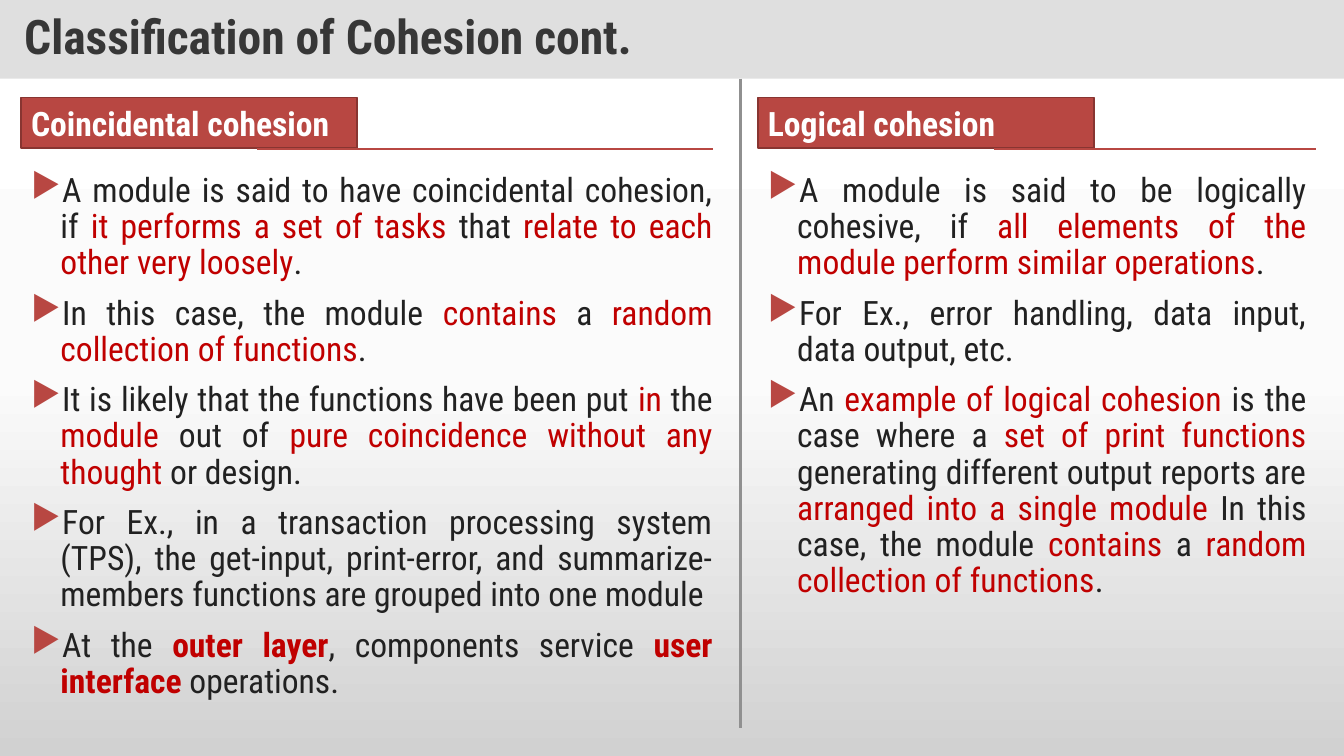
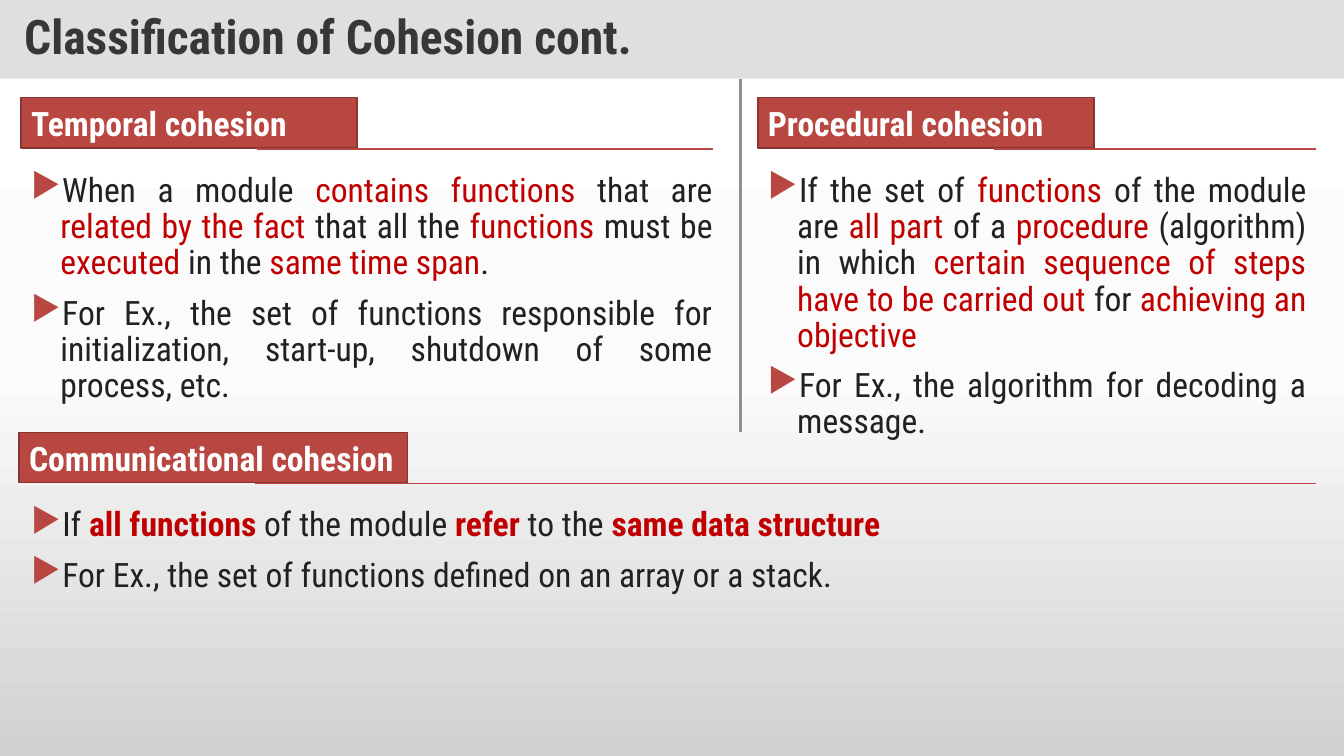
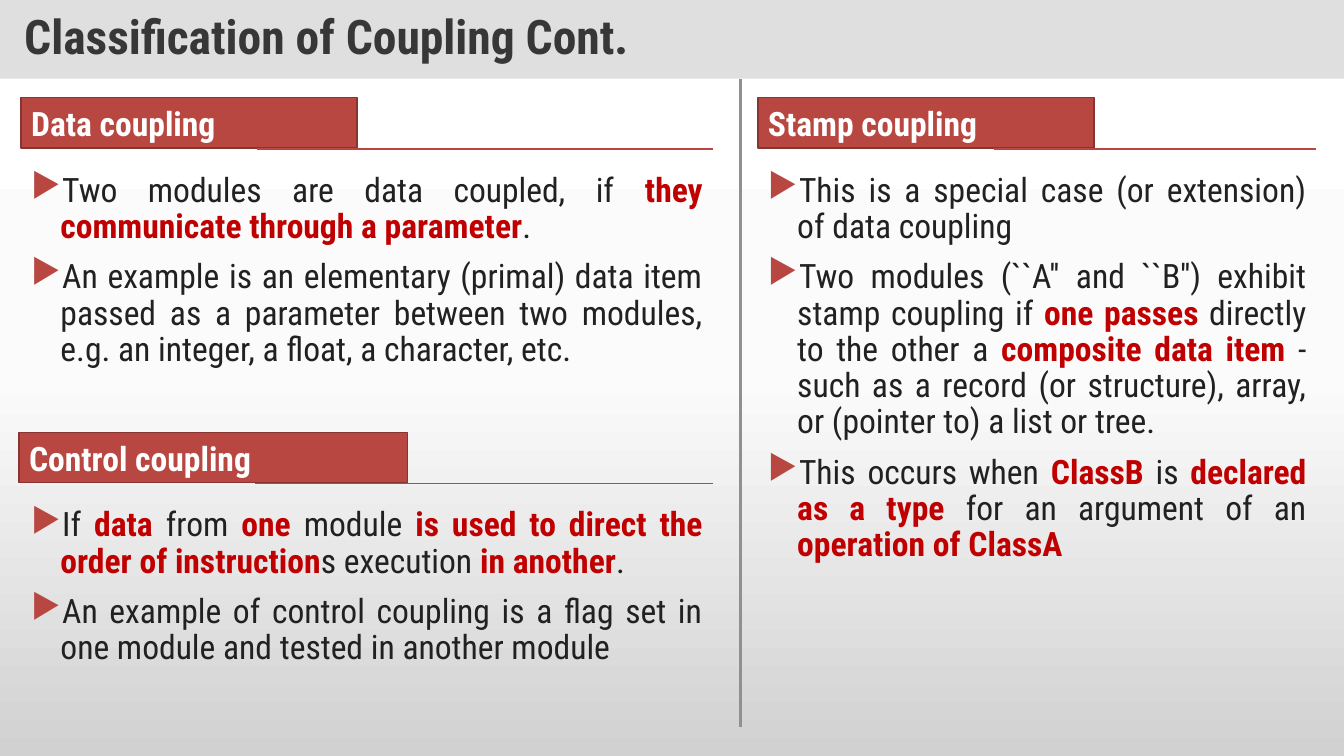
"""Build three slides on the classification of cohesion and coupling."""
from copy import deepcopy

from lxml import etree
from pptx import Presentation
from pptx.dml.color import RGBColor
from pptx.enum import shapes, text
from pptx.oxml import ns
from pptx.util import Pt

FONT = "Roboto Condensed"
COLORS = {
    "title": "373737", "band": "C0C0C0", "tag": "B84742", "tag_edge": "883531",
    "tag_text": "FFFFFF", "body": "212121", "key": "C00000", "divider": "909090",
}
BACKDROP = [(0, "FFFFFF"), (0.5, "FBFBFB"), (1, "D1D1D1")]
WIDTH, HEIGHT, BAND_HEIGHT = 960, 540, 56.2
LEFT, RIGHT, DIVIDER_X = 15.1, 541.4, 529.2
COLUMN_END, PAGE_END = 509, 940.3
UPPER, LOWER = 69.8, 308.9
WIDE_TAG_LEFT, WIDE_TAG_WIDTH = 13.7, 277.2
TAG_WIDTH, TAG_HEIGHT = 240, 36
RULE_INDENT, RULE_DROP, BODY_DROP = 168.5, 36.5, 50.4
BULLET_INDENT = 21


def color(name):
    """Return a named colour."""
    return RGBColor.from_string(COLORS[name])


def sub(parent, tag, **attributes):
    """Append a drawing element and return it."""
    return etree.SubElement(parent, ns.qn(tag), attributes)


def style(paragraph, size, color_name, bold=False):
    """Set the font of a whole paragraph."""
    font = paragraph.font
    font.name, font.size, font.bold = FONT, Pt(size), bold
    font.color.rgb = color(color_name)


def paint_backdrop(master):
    """Give the master a vertical three-stop gradient."""
    fill = master.background.fill
    fill.gradient()
    fill.gradient_angle = 270
    stop_list = master.background._cSld.find(".//" + ns.qn("a:gsLst"))
    stop_list.insert(1, deepcopy(stop_list[0]))
    for stop, (position, shade) in zip(fill.gradient_stops, BACKDROP):
        stop.position = position
        stop.color.rgb = RGBColor.from_string(shade)


def add_titled_slide(prs, heading):
    """Add a slide with its heading on a translucent band."""
    slide = prs.slides.add_slide(prs.slide_layouts[5])
    title = slide.shapes.title
    title.left, title.top = Pt(0), Pt(0)
    title.width, title.height = Pt(WIDTH), Pt(BAND_HEIGHT)
    title.fill.solid()
    title.fill.fore_color.rgb = color("band")
    shade = title._element.spPr.find(".//" + ns.qn("a:srgbClr"))
    sub(shade, "a:alpha", val="50000")
    frame = title.text_frame
    frame.auto_size = text.MSO_AUTO_SIZE.NONE
    frame.vertical_anchor = text.MSO_ANCHOR.MIDDLE
    frame.margin_left = frame.margin_right = Pt(17.3)
    frame.margin_top = frame.margin_bottom = Pt(8.6)
    frame.text = heading
    line = frame.paragraphs[0]
    line.alignment = text.PP_ALIGN.LEFT
    line.line_spacing = 0.9
    style(line, 34, "title", True)
    return slide


def add_line(slide, start, end, color_name, weight):
    """Draw a straight line between two points."""
    line = slide.shapes.add_connector(
        shapes.MSO_CONNECTOR.STRAIGHT, *map(Pt, start + end))
    line.line.color.rgb = color(color_name)
    line.line.width = Pt(weight)
    sub(line._element.spPr, "a:effectLst")


def add_divider(slide, bottom):
    """Separate the two columns below the title band."""
    add_line(slide, (DIVIDER_X, BAND_HEIGHT), (DIVIDER_X, bottom), "divider", 2.25)


def add_tag(slide, label, left, top, width):
    """Add a filled section label."""
    tag = slide.shapes.add_shape(
        shapes.MSO_SHAPE.RECTANGLE, Pt(left), Pt(top), Pt(width), Pt(TAG_HEIGHT))
    tag.shadow.inherit = False
    tag.fill.solid()
    tag.fill.fore_color.rgb = color("tag")
    tag.line.color.rgb = color("tag_edge")
    tag.line.width = Pt(1)
    tag.text_frame.text = label
    line = tag.text_frame.paragraphs[0]
    line.alignment = text.PP_ALIGN.LEFT
    style(line, 24, "tag_text", True)


def add_runs(paragraph, marked):
    """Add runs, with |red| and *bold red* key words."""
    for i, strong in enumerate(marked.split("*")):
        for j, part in enumerate(strong.split("|")):
            if not part:
                continue
            run = paragraph.add_run()
            run.text = part
            if i % 2 or j % 2:
                run.font.color.rgb = color("key")
            if i % 2:
                run.font.bold = True


def add_bullets(slide, points, left, top, width, height):
    """Add a justified list with triangle bullets."""
    box = slide.shapes.add_textbox(Pt(left), Pt(top), Pt(width), Pt(height))
    frame = box.text_frame
    frame.word_wrap = True
    for number, point in enumerate(points):
        paragraph = frame.add_paragraph() if number else frame.paragraphs[0]
        properties = paragraph._p.get_or_add_pPr()
        properties.set("marL", str(Pt(BULLET_INDENT)))
        properties.set("indent", str(-Pt(BULLET_INDENT)))
        sub(sub(properties, "a:buClr"), "a:srgbClr", val=COLORS["tag"])
        sub(properties, "a:buChar", char="▶")
        paragraph.alignment = text.PP_ALIGN.JUSTIFY
        paragraph.line_spacing = 0.9
        if number:
            paragraph.space_before = Pt(10)
        style(paragraph, 24, "body")
        add_runs(paragraph, point)


def add_section(slide, label, points, left, top, rule_end, body_width, body_height):
    """Add a label, its rule and its bullets."""
    lower = top == LOWER
    tag_left = WIDE_TAG_LEFT if lower else left
    add_tag(slide, label, tag_left, top, WIDE_TAG_WIDTH if lower else TAG_WIDTH)
    rule_y = top + RULE_DROP
    add_line(slide, (tag_left + RULE_INDENT, rule_y), (rule_end, rule_y), "tag", 1)
    add_bullets(slide, points, left, top + BODY_DROP, body_width, body_height)


def add_left(slide, label, points, body_width, body_height):
    """Add a section at the top of the left column."""
    add_section(slide, label, points, LEFT, UPPER, COLUMN_END, body_width, body_height)


def add_right(slide, label, points, body_height):
    """Add a section at the top of the right column."""
    add_section(slide, label, points, RIGHT, UPPER, PAGE_END, PAGE_END - RIGHT, body_height)


def add_lower(slide, label, points, rule_end):
    """Add a section in the lower half."""
    add_section(slide, label, points, LEFT, LOWER, rule_end, rule_end - LEFT, 93.6)


def add_coincidental_and_logical(prs):
    """Build the slide on coincidental and logical cohesion."""
    slide = add_titled_slide(prs, "Classification of Cohesion cont.")
    add_left(slide, "Coincidental cohesion", [
        "A module is said to have coincidental cohesion, if |it performs a set of tasks| "
        "that |relate to each other very loosely|.",
        "In this case, the module |contains |a |random collection of functions|.",
        "It is likely that the functions have been put |in| the |module| out of "
        "|pure coincidence without any thought| or design.",
        "For Ex., in a transaction processing system (TPS), the get-input, print-error, "
        "and summarize-members functions are grouped into one module",
        "At the *outer layer*, components service *user interface* operations.",
    ], 501, 261.4)
    add_right(slide, "Logical cohesion", [
        "A module is said to be logically cohesive, if "
        "|all elements of the module perform similar operations|.",
        "For Ex., error handling, data input, data output, etc.",
        "An |example of logical cohesion| is the case where a |set of print functions| "
        "generating different output reports are |arranged into a single module |"
        "In this case, the module |contains |a |random collection of functions|.",
    ], 261.4)
    add_divider(slide, 520)


def add_temporal_to_communicational(prs):
    """Build the slide on temporal, procedural and communicational cohesion."""
    slide = add_titled_slide(prs, "Classification of Cohesion cont.")
    add_left(slide, "Temporal cohesion", [
        "When a module |contains functions| that are |related by the fact| that all the "
        "|functions| must be |executed |in the |same time span|.",
        "For Ex., the set of functions responsible for initialization, start-up, "
        "shutdown of some process, etc.",
    ], 501, 180.7)
    add_right(slide, "Procedural cohesion", [
        "If the set of |functions |of the module are |all part| of a |procedure |"
        "(algorithm) in which |certain sequence of steps have to be carried out |"
        "for |achieving an objective|",
        "For Ex., the algorithm for decoding a message.",
    ], 211)
    add_divider(slide, LOWER)
    add_lower(slide, "Communicational cohesion", [
        "If *all functions* of the module *refer *to the *same data structure*",
        "For Ex., the set of functions defined on an array or a stack.",
    ], PAGE_END)


def add_coupling(prs):
    """Build the slide on data, stamp and control coupling."""
    slide = add_titled_slide(prs, "Classification of Coupling Cont.")
    add_left(slide, "Data coupling", [
        "Two modules are data coupled, if* they communicate through a parameter*.",
        "An example is an elementary (primal) data item passed as a parameter between "
        "two modules, e.g. an integer, a float, a character, etc.",
    ], COLUMN_END - LEFT, 180.7)
    add_right(slide, "Stamp coupling", [
        "This is a special case (or extension) of data coupling",
        "Two modules (``A'' and ``B'') exhibit stamp coupling if *one passes* directly "
        "to the other a *composite data item* - such as a record (or structure), array, "
        "or (pointer to) a list or tree.",
        "This occurs when *ClassB* is *declared as a type *for an argument of an "
        "*operation of ClassA*",
    ], 261.4)
    add_divider(slide, 519)
    add_lower(slide, "Control coupling", [
        "If *data *from *one *module *is used to direct the order of instruction*"
        "s execution *in another*.",
        "An example of control coupling is a flag set in one module and tested in "
        "another module",
    ], COLUMN_END)


def main():
    """Build and save the presentation."""
    prs = Presentation()
    prs.slide_width, prs.slide_height = Pt(WIDTH), Pt(HEIGHT)
    paint_backdrop(prs.slide_master)
    add_coincidental_and_logical(prs)
    add_temporal_to_communicational(prs)
    add_coupling(prs)
    prs.save("out.pptx")


if __name__ == "__main__":
    main()
